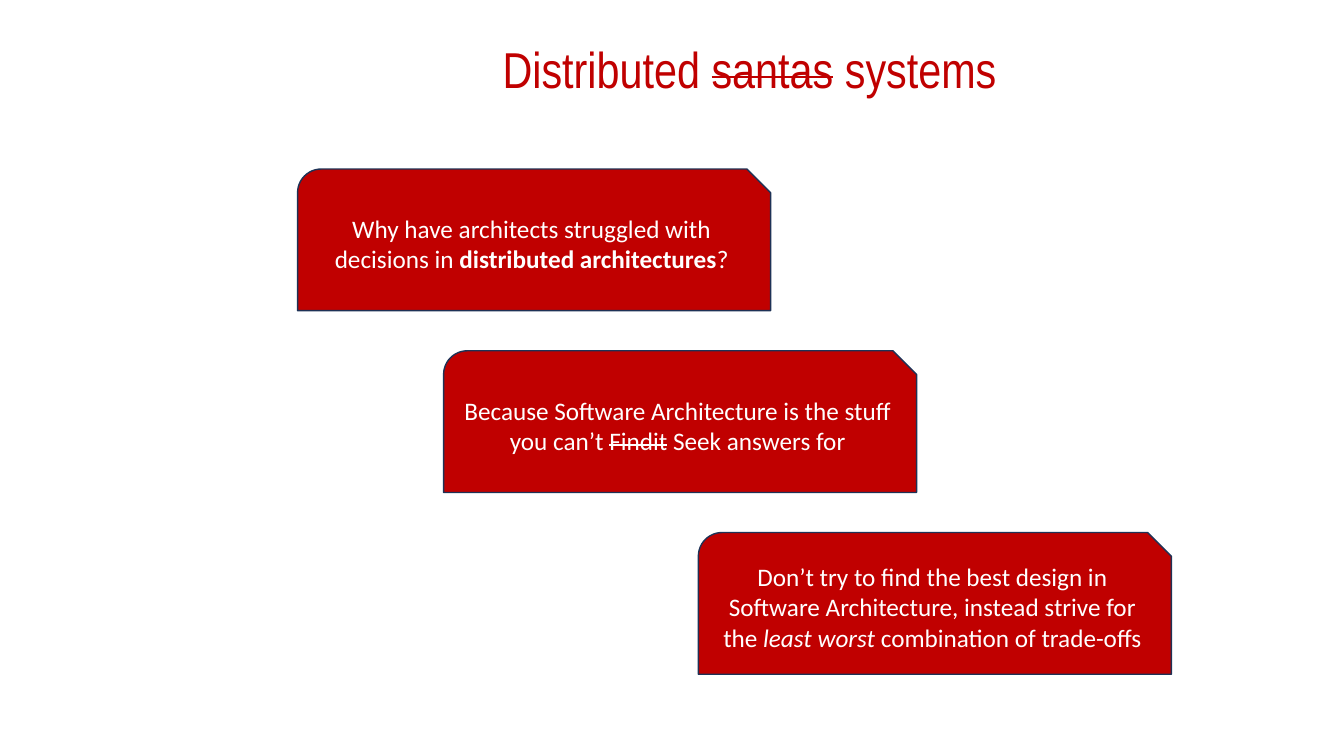
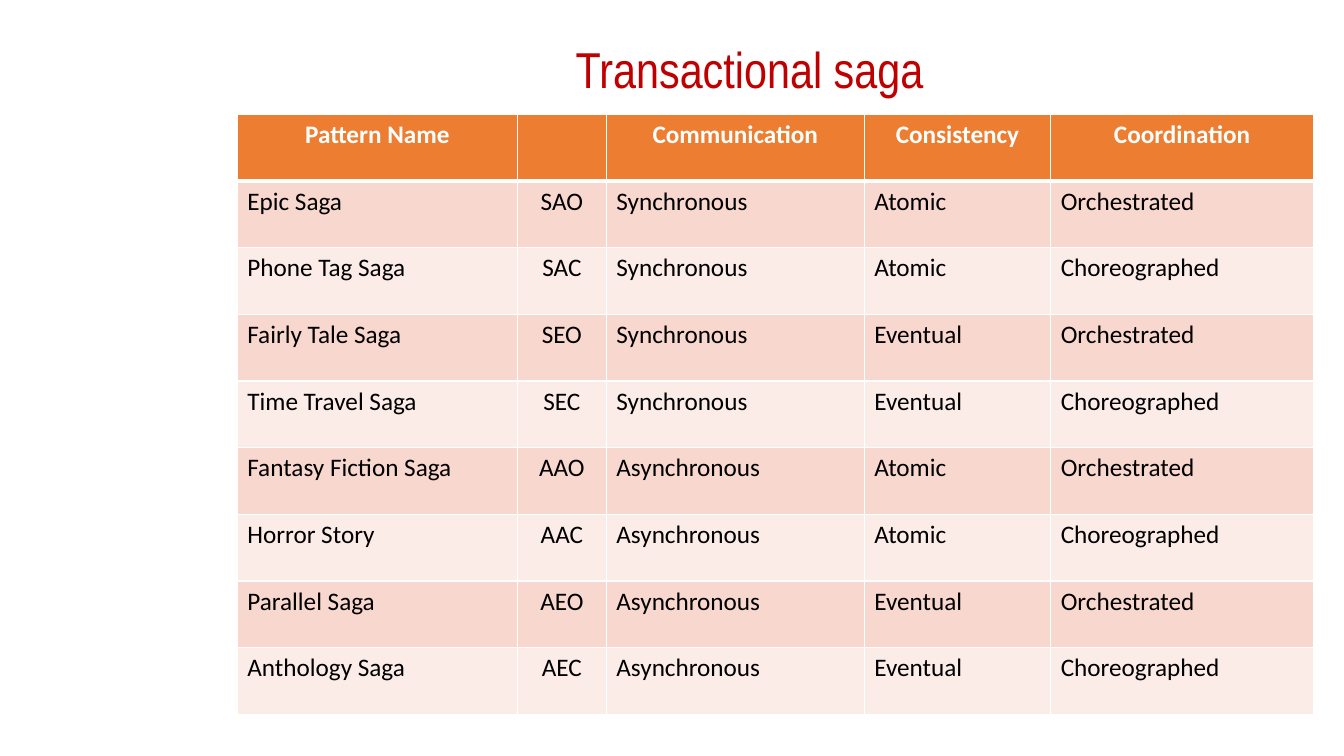
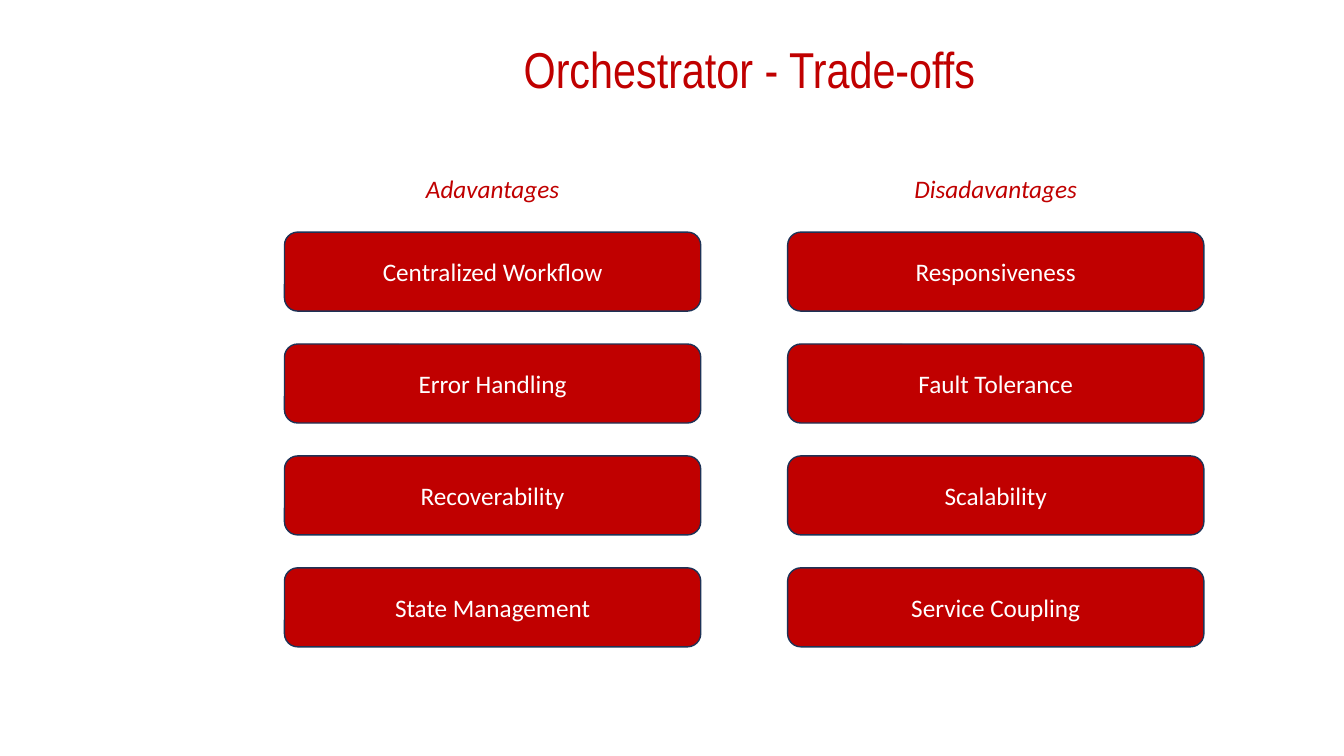
from lxml import etree
from pptx import Presentation
from pptx import util as u
from pptx.dml.color import RGBColor
from pptx.enum import shapes, text
from pptx.oxml import ns

# Shared look
RED = RGBColor(0xC0, 0x00, 0x00)
NAVY = RGBColor(0x1E, 0x32, 0x56)
WHITE = RGBColor(0xFF, 0xFF, 0xFF)
BLACK = RGBColor(0x00, 0x00, 0x00)
ORANGE = RGBColor(0xED, 0x7D, 0x31)
BANDS = (RGBColor(0xF8, 0xD7, 0xCE), RGBColor(0xFC, 0xEC, 0xE8))
TITLE_FONT, BODY_FONT = "Arial Narrow", "Calibri"
TITLE_SIZE, BODY_SIZE = 36, 18
CENTER, LEFT = text.PP_ALIGN.CENTER, text.PP_ALIGN.LEFT
PANEL = shapes.MSO_SHAPE.RECTANGLE
SNIPPED = shapes.MSO_SHAPE.SNIP_ROUND_RECTANGLE
ROUNDED = shapes.MSO_SHAPE.FLOWCHART_ALTERNATE_PROCESS

# Content; a span is plain text or a (text, style) pair
STATEMENTS = [
    (7.5, ["Why have architects struggled with decisions in ",
           ("distributed architectures", "bold"), "?"]),
    (11.18, ["Because Software Architecture is the stuff you can’t ",
             ("Findit", "strike"), " Seek answers for"]),
    (17.6, ["Don’t try to find the best design in Software Architecture, "
            "instead strive for the ",
            ("least worst ", "italic"), "combination of trade-offs"]),
]
SAGA_HEADER = ("Pattern Name", "", "Communication", "Consistency", "Coordination")
SAGA_NAMES = ("Epic Saga", "Phone Tag Saga", "Fairly Tale Saga", "Time Travel Saga",
              "Fantasy Fiction Saga", "Horror Story", "Parallel Saga", "Anthology Saga")
SAGA_CODES = ("SAO", "SAC", "SEO", "SEC", "AAO", "AAC", "AEO", "AEC")
CODE_WORDS = ({"S": "Synchronous", "A": "Asynchronous"},
              {"A": "Atomic", "E": "Eventual"},
              {"O": "Orchestrated", "C": "Choreographed"})
TRADE_OFFS = {
    "Adavantages": ["Centralized Workflow", "Error Handling",
                    "Recoverability", "State Management"],
    "Disadavantages": ["Responsiveness", "Fault Tolerance",
                       "Scalability", "Service Coupling"],
}


def write_spans(para, spans, color, size=BODY_SIZE, name=BODY_FONT, align=CENTER):
    para.alignment = align
    for span in spans:
        words, style = (span, "") if isinstance(span, str) else span
        run = para.add_run()
        run.text = words
        font = run.font
        font.name, font.size, font.color.rgb = name, u.Pt(size), color
        font.bold = style == "bold"
        font.italic = style == "italic"
        if style == "strike":
            run._r.get_or_add_rPr().set("strike", "sngStrike")


def add_label(page, left, top, width, height, spans, color, **style):
    box = page.shapes.add_textbox(u.Cm(left), u.Cm(top), u.Cm(width), u.Cm(height))
    box.text_frame.word_wrap = True
    para = box.text_frame.paragraphs[0]
    write_spans(para, spans, color, **style)
    return para


def add_card(page, kind, left, top, width, height, spans=(), fill=RED, line=NAVY):
    card = page.shapes.add_shape(kind, u.Cm(left), u.Cm(top), u.Cm(width), u.Cm(height))
    card.shadow.inherit = False
    card.fill.solid()
    card.fill.fore_color.rgb = fill
    card.line.color.rgb = line
    card.line.width = u.Pt(1)
    frame = card.text_frame
    frame.word_wrap = True
    frame.vertical_anchor = text.MSO_ANCHOR.MIDDLE
    write_spans(frame.paragraphs[0], spans, WHITE)


def add_page(deck, title):
    page = deck.slides.add_slide(deck.slide_layouts[6])
    # White side panel and title
    add_card(page, PANEL, 0, 9.53, 5.44, 9.14, fill=WHITE, line=WHITE)
    para = add_label(page, 6.24, 1.02, 25.3, 2.24, title, RED,
                     size=TITLE_SIZE, name=TITLE_FONT)
    para.line_spacing = 0.9
    return page


def set_borders(cell, top=1, bottom=1):
    props = cell._tc.get_or_add_tcPr()
    for side, width in (("L", 1), ("R", 1), ("T", top), ("B", bottom)):
        line = etree.SubElement(props, ns.qn("a:ln" + side), w=str(u.Pt(width)))
        fill = etree.SubElement(line, ns.qn("a:solidFill"))
        etree.SubElement(fill, ns.qn("a:srgbClr"), val=str(WHITE))


def add_banded_table(page, left, top, widths, row_height, rows, centered):
    table = page.shapes.add_table(
        len(rows), len(widths), u.Cm(left), u.Cm(top),
        u.Cm(sum(widths)), u.Cm(row_height * len(rows))).table
    table.horz_banding = False
    for column, width in zip(table.columns, widths):
        column.width = u.Cm(width)
    for r, row in enumerate(rows):
        table.rows[r].height = u.Cm(row_height)
        header = r == 0
        for c, words in enumerate(row):
            cell = table.cell(r, c)
            set_borders(cell, top=3 if r == 1 else 1, bottom=3 if header else 1)
            cell.fill.solid()
            cell.fill.fore_color.rgb = ORANGE if header else BANDS[(r - 1) % 2]
            if words:
                write_spans(cell.text_frame.paragraphs[0],
                            [(words, "bold" if header else "")],
                            WHITE if header else BLACK,
                            align=CENTER if header or c in centered else LEFT)


def add_statements_page(deck):
    page = add_page(deck, ["Distributed ", ("santas", "strike"), " systems"])
    for i, (left, spans) in enumerate(STATEMENTS):
        add_card(page, SNIPPED, left, 4.26 + 4.58 * i, 11.92, 3.57, spans)


def add_saga_page(deck):
    page = add_page(deck, ["Transactional saga"])
    rows = [SAGA_HEADER]
    for name, code in zip(SAGA_NAMES, SAGA_CODES):
        rows.append((name, code, *(words[key] for words, key in zip(CODE_WORDS, code))))
    add_banded_table(page, 5.98, 2.88, (7.06, 2.24, 6.5, 4.7, 6.62), 1.68, rows,
                     centered={1})


def add_trade_offs_page(deck):
    page = add_page(deck, ["Orchestrator - Trade-offs"])
    for c, (heading, topics) in enumerate(TRADE_OFFS.items()):
        left = 7.17 + 12.68 * c
        add_label(page, left, 4.24, 10.49, 1.02, [(heading, "italic")], RED)
        for r, topic in enumerate(topics):
            add_card(page, ROUNDED, left, 5.85 + 2.82 * r, 10.49, 1.99, [topic])


def main():
    deck = Presentation()
    deck.slide_width, deck.slide_height = u.Cm(33.87), u.Cm(19.05)
    add_statements_page(deck)
    add_saga_page(deck)
    add_trade_offs_page(deck)
    deck.save("out.pptx")


if __name__ == "__main__":
    main()
